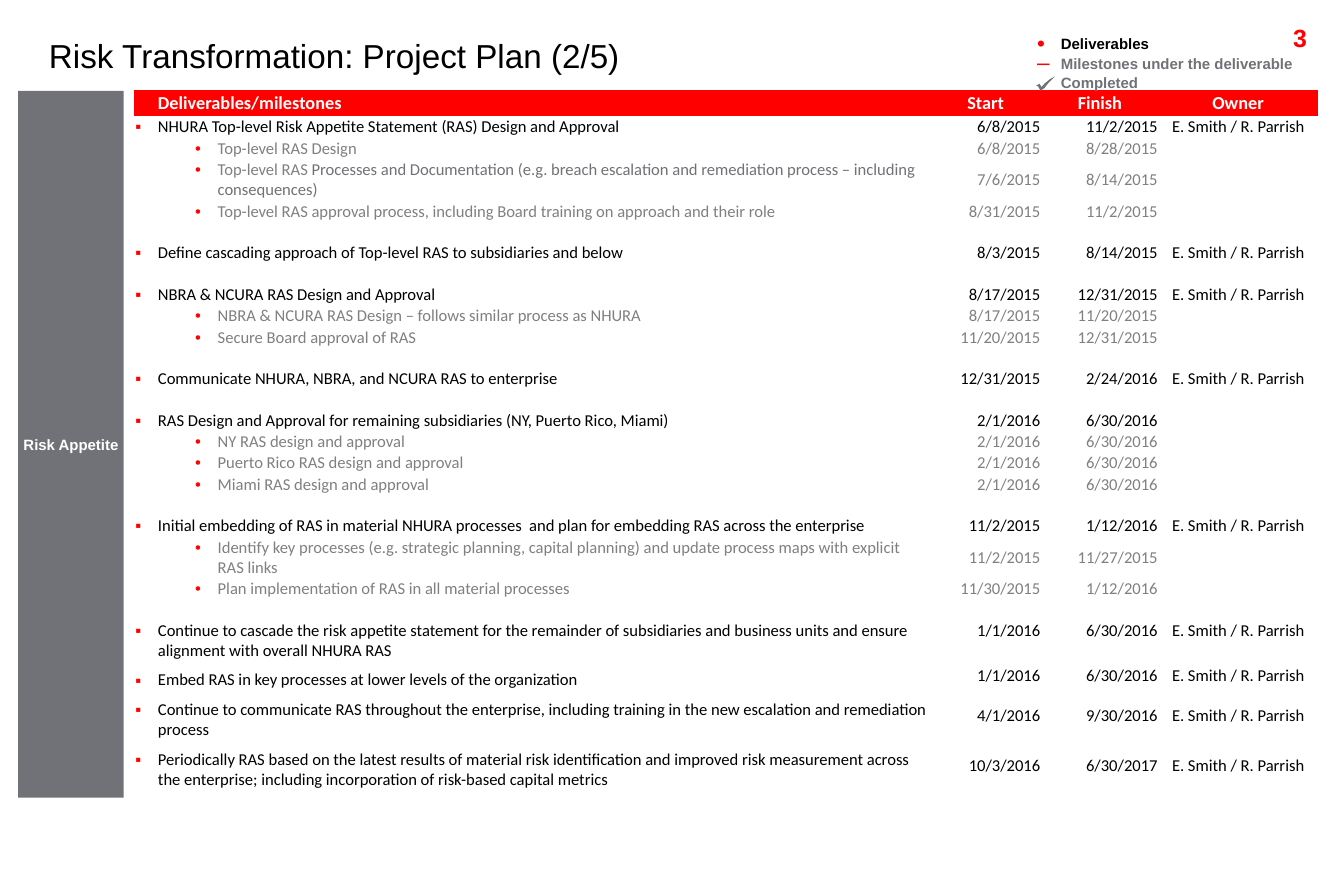
import dataclasses

import lxml.etree
import pptx
import pptx.dml.color
import pptx.enum.shapes
import pptx.enum.text
import pptx.oxml.ns
import pptx.util

Pt = pptx.util.Pt
qn = pptx.oxml.ns.qn
ALIGN = pptx.enum.text.PP_ALIGN
ANCHOR = pptx.enum.text.MSO_ANCHOR


@dataclasses.dataclass(frozen=True)
class Theme:
    red: str = "FF0000"
    grey: str = "707277"
    muted: str = "808080"
    black: str = "000000"
    white: str = "FFFFFF"
    heading: str = "Arial"
    body: str = "Calibri"
    title_size: float = 20
    number_size: float = 15
    header_size: float = 11
    table_size: float = 10
    label_size: float = 9


T = Theme()
LINE = 12.17   # one line of table text
SMALL = 4.9    # narrow gap above a deliverable
INSET = 0.72
HANG = 13.6
NO_GRID = "{2D5ABB26-0587-4C30-8999-92F81FD0307C}"
OWNER = "E. Smith / R. Parrish"
COLUMNS = [479.6, 67.1, 70.7, 95.8]
HEADER = ["Deliverables/milestones", "Start", "Finish", "Owner"]
ALIGNS = [ALIGN.LEFT, ALIGN.RIGHT, ALIGN.RIGHT, ALIGN.CENTER]

# level, gap above, lines, text ("|" starts a darker run), start, finish, owner
PLAN = [
    (0, 0, 1, "NHURA Top-level Risk Appetite Statement (RAS) Design and Approval", "6/8/2015", "11/2/2015", OWNER),
    (1, 0, 1, "Top-level RAS Design", "6/8/2015", "8/28/2015", ""),
    (1, 0, 2, "Top-level RAS |Processes and Documentation (e.g. breach escalation and remediation process – "
     "including consequences)", "7/6/2015", "8/14/2015", ""),
    (1, 0, 1, "Top-level RAS approval process, including Board training on approach and their role",
     "8/31/2015", "11/2/2015", ""),
    (0, LINE, 1, "Define cascading approach of Top-level RAS to subsidiaries and below", "8/3/2015", "8/14/2015", OWNER),
    (0, LINE, 1, "NBRA & NCURA RAS Design and Approval", "8/17/2015", "12/31/2015", OWNER),
    (1, 0, 1, "NBRA & NCURA RAS Design – follows similar process as NHURA", "8/17/2015", "11/20/2015", ""),
    (1, 0, 1, "Secure Board approval of RAS", "11/20/2015", "12/31/2015", ""),
    (0, LINE, 1, "Communicate NHURA, NBRA, and NCURA RAS to enterprise", "12/31/2015", "2/24/2016", OWNER),
    (0, LINE, 1, "RAS Design and Approval for remaining subsidiaries (NY, Puerto Rico, Miami)",
     "2/1/2016", "6/30/2016", ""),
    (1, 0, 1, "NY RAS design and approval", "2/1/2016", "6/30/2016", ""),
    (1, 0, 1, "Puerto Rico RAS design and approval", "2/1/2016", "6/30/2016", ""),
    (1, 0, 1, "Miami RAS design and approval", "2/1/2016", "6/30/2016", ""),
    (0, LINE, 1, "Initial embedding of RAS in material NHURA processes  and plan for embedding RAS across the "
     "enterprise", "11/2/2015", "1/12/2016", OWNER),
    (1, 0, 2, "Identify key processes (e.g. strategic planning, capital planning) and update process maps with "
     "explicit RAS links", "11/2/2015", "11/27/2015", ""),
    (1, 0, 1, "Plan implementation of RAS in all material processes", "11/30/2015", "1/12/2016", ""),
    (0, LINE, 2, "Continue to cascade the risk appetite statement for the remainder of subsidiaries and business "
     "units and ensure alignment with overall NHURA RAS", "1/1/2016", "6/30/2016", OWNER),
    (0, SMALL, 1, "Embed RAS in key processes at lower levels of the organization", "1/1/2016", "6/30/2016", OWNER),
    (0, SMALL, 2, "Continue to communicate RAS throughout the enterprise, including training in the new escalation "
     "and remediation process", "4/1/2016", "9/30/2016", OWNER),
    (0, SMALL, 2, "Periodically RAS based on the latest results of material risk identification and improved risk "
     "measurement across the enterprise; including incorporation of risk-based capital metrics",
     "10/3/2016", "6/30/2017", OWNER),
]

LEGEND = [("Deliverables", T.black, "•"), ("Milestones under the deliverable", T.grey, "–"),
          ("Completed", T.grey, "")]
CHECK = [(635.8, 46.1), (632.2, 49.7), (629.3, 53.3), (627.1, 54.7), (626.4, 53.3), (625.4, 51.8),
         (624.4, 51.8), (625.7, 51), (626.6, 50.6), (627.7, 52.5), (629.8, 50.2), (632.9, 47.7)]


def rgb(value):
    return pptx.dml.color.RGBColor.from_string(value)


def apply(obj, **values):
    for name, value in values.items():
        setattr(obj, name, value)


def paint(sp, color):
    sp.fill.solid()
    sp.fill.fore_color.rgb = rgb(color)


def add_run(p, text, size, color, font=T.heading, bold=False):
    r = p.add_run()
    r.text = text
    apply(r.font, size=Pt(size), name=font, bold=bold)
    r.font.color.rgb = rgb(color)


def set_bullet(p, char, left, hang, percent=100):
    """Indent the paragraph and, if char is given, mark it with a red bullet."""
    pPr = p._p.get_or_add_pPr()
    for name, value in {"marL": left, "indent": -hang}.items():
        pPr.set(name, str(Pt(value)))
    if not char:
        lxml.etree.SubElement(pPr, qn("a:buNone"))
        return
    color = lxml.etree.SubElement(pPr, qn("a:buClr"))
    lxml.etree.SubElement(color, qn("a:srgbClr"), val=T.red)
    lxml.etree.SubElement(pPr, qn("a:buSzPct"), val=str(percent * 1000))
    lxml.etree.SubElement(pPr, qn("a:buFont"), typeface=T.heading)
    lxml.etree.SubElement(pPr, qn("a:buChar"), char=char)


def add_textbox(slide, x, y, w, h, inset=(0, 0)):
    tf = slide.shapes.add_textbox(Pt(x), Pt(y), Pt(w), Pt(h)).text_frame
    side, top = (Pt(v) for v in inset)
    apply(tf, word_wrap=True, margin_left=side, margin_right=side, margin_top=top, margin_bottom=top)
    return tf


def set_title(slide, text):
    sp = slide.shapes.title
    apply(sp, left=Pt(22.3), top=Pt(19), width=Pt(747.4), height=Pt(31))
    apply(sp.text_frame, vertical_anchor=ANCHOR.MIDDLE, auto_size=pptx.enum.text.MSO_AUTO_SIZE.NONE)
    p = sp.text_frame.paragraphs[0]
    apply(p, alignment=ALIGN.LEFT, line_spacing=0.9)
    add_run(p, text, T.title_size, T.black)


def add_page_number(slide, text):
    p = add_textbox(slide, 717.8, 10.1, 77, 36, (7.2, 3.6)).paragraphs[0]
    p.alignment = ALIGN.RIGHT
    add_run(p, text, T.number_size, T.red, bold=True)


def add_sidebar(slide, text):
    sp = slide.shapes.add_shape(pptx.enum.shapes.MSO_SHAPE.RECTANGLE, Pt(11), Pt(54.8), Pt(63.5), Pt(426))
    paint(sp, T.grey)
    sp.line.fill.background()
    sp.shadow.inherit = False
    apply(sp.text_frame, word_wrap=False, vertical_anchor=ANCHOR.MIDDLE,
          margin_left=Pt(2.5), margin_right=Pt(2.5))
    p = sp.text_frame.paragraphs[0]
    p.alignment = ALIGN.CENTER
    add_run(p, text, T.label_size, T.white, bold=True)


def add_legend(slide):
    tf = add_textbox(slide, 625, 20.8, 169.5, 32)
    for i, (text, color, char) in enumerate(LEGEND):
        p = tf.add_paragraph() if i else tf.paragraphs[0]
        p.space_after = Pt(1)
        set_bullet(p, char, 14.4, 14.4 if char else 0, 150)
        add_run(p, text, T.label_size, color, bold=True)
    points = [(Pt(x), Pt(y)) for x, y in CHECK]
    builder = slide.shapes.build_freeform(*points[0], scale=1.0)
    builder.add_line_segments(points[1:], close=True)
    sp = builder.convert_to_shape()
    paint(sp, T.grey)
    sp.line.fill.background()
    sp.shadow.inherit = False


def format_cell(cell, fill, align, gap=0):
    paint(cell, fill)
    apply(cell, vertical_anchor=ANCHOR.MIDDLE, margin_left=Pt(INSET), margin_right=Pt(INSET),
          margin_top=Pt(INSET + gap), margin_bottom=Pt(0))
    p = cell.text_frame.paragraphs[0]
    p.alignment = align
    return p


def fill_plan_row(table, i, level, gap, lines, text, *details):
    table.rows[i].height = Pt(gap + lines * LINE + INSET)
    color = T.muted if level else T.black
    p = format_cell(table.cell(i, 0), T.white, ALIGN.LEFT, gap)
    p.level = level
    set_bullet(p, "•" if level else "▪", HANG + 36 * level, HANG)
    for part, shade in zip(text.split("|"), (color, T.grey)):
        add_run(p, part, T.table_size, shade, T.body)
    detail_gap = gap if gap == LINE and lines == 1 else 0
    for j, detail in enumerate(details, 1):
        p = format_cell(table.cell(i, j), T.white, ALIGNS[j], detail_gap)
        if detail:
            add_run(p, detail, T.table_size, color, T.body)
        else:
            lxml.etree.SubElement(p._p, qn("a:endParaRPr"), sz=str(T.table_size * 100))


def add_plan_table(slide):
    gf = slide.shapes.add_table(len(PLAN) + 1, len(COLUMNS), Pt(80.9), Pt(54.2), Pt(sum(COLUMNS)), Pt(417))
    gf.element.xpath(".//a:tableStyleId")[0].text = NO_GRID
    table = gf.table
    apply(table, first_row=False, horz_banding=False)
    table.rows[0].height = Pt(15.7)
    for j, (width, text) in enumerate(zip(COLUMNS, HEADER)):
        table.columns[j].width = Pt(width)
        p = format_cell(table.cell(0, j), T.red, ALIGN.CENTER if j else ALIGN.LEFT)
        if j == 0:
            set_bullet(p, "", HANG, 0)
        add_run(p, text, T.header_size, T.white, T.body, True)
    for i, row in enumerate(PLAN, 1):
        fill_plan_row(table, i, *row)


def main():
    prs = pptx.Presentation()
    apply(prs, slide_width=Pt(810), slide_height=Pt(540))
    slide = prs.slides.add_slide(prs.slide_layouts[5])
    add_page_number(slide, "3")
    add_sidebar(slide, "Risk Appetite")
    add_plan_table(slide)
    add_legend(slide)
    set_title(slide, "Risk Transformation: Project Plan (2/5)")
    prs.save("out.pptx")


if __name__ == "__main__":
    main()
